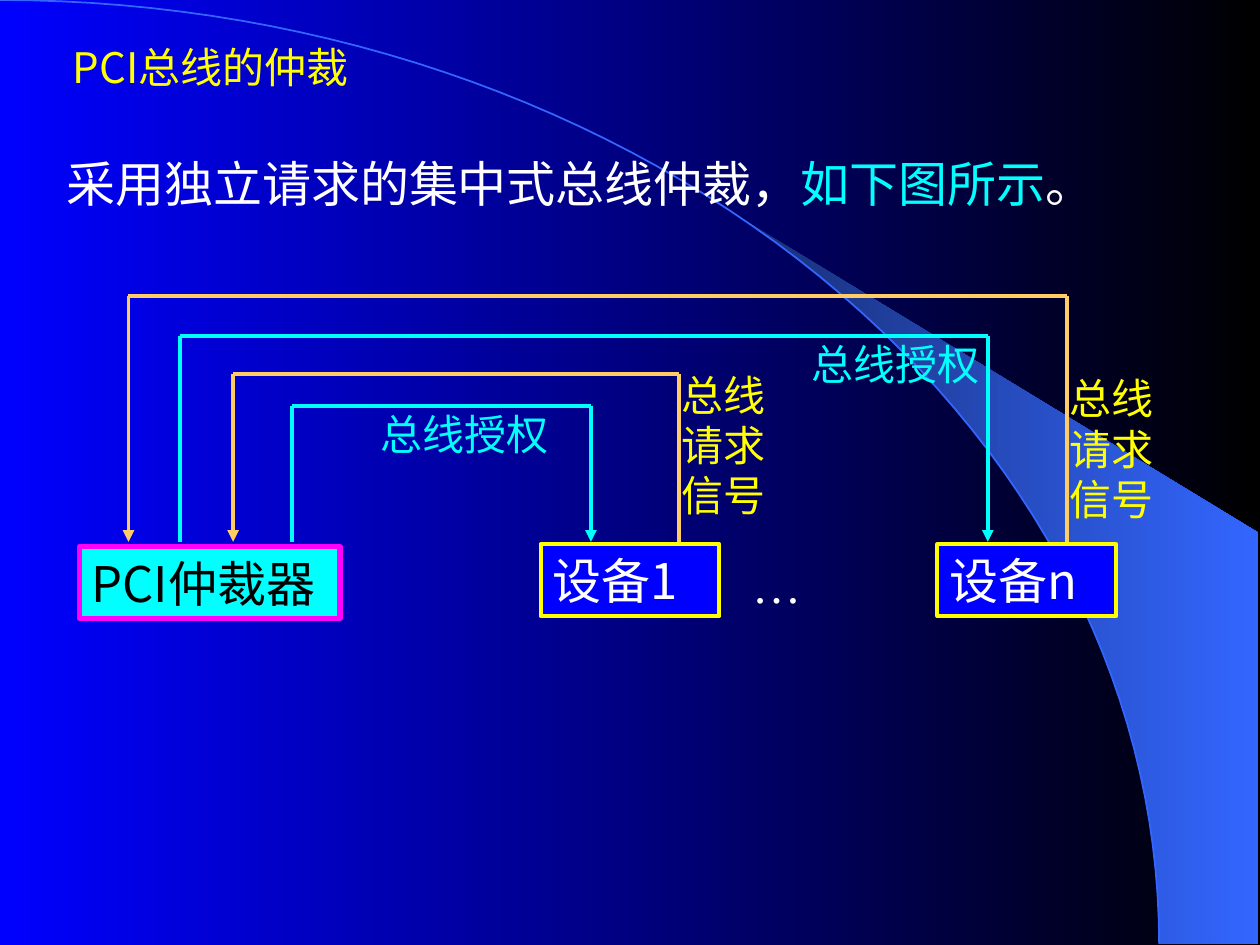
import math

import lxml.etree
import pptx
import pptx.dml.color
import pptx.enum.shapes
import pptx.enum.text
import pptx.oxml.ns
import pptx.util
from pptx.util import Inches

SANS = "Noto Sans CJK SC"
YELLOW, CYAN, WHITE, ORANGE = "FFFF00", "00FFFF", "FFFFFF", "FFCC66"
ARC_WIDTH, ARC_HEIGHT = 9.2, 7.49
BOX_TOP = 4.3


def rgb(value):
    """Turn a hex string into a colour."""
    return pptx.dml.color.RGBColor.from_string(value)


def set_gradient(fill, first, last):
    """Apply a left-to-right gradient of two colours."""
    fill.gradient()
    fill.gradient_angle = 0
    for stop, colour, position in zip(fill.gradient_stops, (first, last), (0, 1)):
        stop.color.rgb = rgb(colour)
        stop.position = position


def set_line(line, colour, width):
    """Give a line its colour and its width in points."""
    line.color.rgb = rgb(colour)
    line.width = pptx.util.Pt(width)


def arc_points(start_x, steps=60):
    """Return points on the quarter ellipse from start_x to its right end."""
    start = math.asin(start_x / ARC_WIDTH)
    angles = [start + (math.pi / 2 - start) * i / steps for i in range(steps + 1)]
    return [(ARC_WIDTH * math.sin(a), ARC_HEIGHT * (1 - math.cos(a))) for a in angles]


def add_outline(slide, points, close):
    """Add a freeform through the given points."""
    corners = [(Inches(x), Inches(y)) for x, y in points]
    builder = slide.shapes.build_freeform(*corners[0])
    builder.add_line_segments(corners[1:], close=close)
    outline = builder.convert_to_shape()
    outline.shadow.inherit = False
    return outline


def add_backdrop(slide):
    """Draw the gradient background, the light band and the large arc."""
    set_gradient(slide.background.fill, "0000FF", "000000")
    band = add_outline(slide, arc_points(5.89) + [(9.99, 7.49), (9.99, 4.23)], True)
    set_gradient(band.fill, "182F76", "3366FF")
    band.line.fill.background()
    arc = add_outline(slide, arc_points(0), False)
    arc.fill.background()
    set_line(arc.line, "3366FF", 1)


def write_text(shape, parts, size, font_name=SANS, wrap=True, before=0.625):
    """Write one paragraph of (text, colour) parts; the first colour is its default."""
    frame = shape.text_frame
    frame.word_wrap = wrap
    frame.auto_size = pptx.enum.text.MSO_AUTO_SIZE.SHAPE_TO_FIT_TEXT
    paragraph = frame.paragraphs[0]
    paragraph.alignment = pptx.enum.text.PP_ALIGN.LEFT
    paragraph.space_before = pptx.util.Pt(size * before)
    paragraph.font.name = font_name
    paragraph.font.size = pptx.util.Pt(size)
    paragraph.font.color.rgb = rgb(parts[0][1])
    latin = paragraph._p.find(".//" + pptx.oxml.ns.qn("a:latin"))
    latin.addnext(latin.makeelement(pptx.oxml.ns.qn("a:ea"), {"typeface": font_name}))
    for text, colour in parts:
        run = paragraph.add_run()
        run.text = text
        run.font.color.rgb = rgb(colour)


def add_label(slide, place, parts, size=24, font_name=SANS):
    """Add a text box at (left, top, width, height)."""
    label = slide.shapes.add_textbox(*map(Inches, place))
    write_text(label, parts, size, font_name)


def add_unit(slide, place, name, fill, border, border_width, colour, **text_options):
    """Add a bordered box for a bus unit."""
    unit = slide.shapes.add_shape(
        pptx.enum.shapes.MSO_SHAPE.RECTANGLE, *map(Inches, place))
    unit.shadow.inherit = False
    unit.fill.solid()
    unit.fill.fore_color.rgb = rgb(fill)
    set_line(unit.line, border, border_width)
    unit.text_frame.vertical_anchor = pptx.enum.text.MSO_ANCHOR.MIDDLE
    write_text(unit, [(name, colour)], 28, **text_options)


def add_wire(slide, start, end, colour, arrow=False):
    """Add a straight wire, with an arrowhead at its end if asked."""
    wire = slide.shapes.add_connector(
        pptx.enum.shapes.MSO_CONNECTOR.STRAIGHT, *map(Inches, start + end))
    set_line(wire.line, colour, 2.25)
    properties = wire._element.spPr
    if arrow:
        lxml.etree.SubElement(
            properties.find(pptx.oxml.ns.qn("a:ln")),
            pptx.oxml.ns.qn("a:tailEnd"), type="triangle")
    lxml.etree.SubElement(properties, pptx.oxml.ns.qn("a:effectLst"))


def add_signal(slide, source_x, target_x, level, colour):
    """Route a signal up from its source, across, and down to its target."""
    route = [(source_x, BOX_TOP), (source_x, level),
             (target_x, level), (target_x, BOX_TOP)]
    for index, (start, end) in enumerate(zip(route, route[1:])):
        add_wire(slide, start, end, colour, arrow=index == 2)


def main():
    """Build the slide and save it."""
    deck = pptx.Presentation()
    deck.slide_width, deck.slide_height = Inches(10), Inches(7.5)
    slide = deck.slides.add_slide(deck.slide_layouts[6])
    add_backdrop(slide)

    add_label(slide, (0.48, 0.28, 5.21, 0.5), [("PCI总线的仲裁", YELLOW)])
    add_label(slide, (0.43, 1.17, 9.06, 0.57),
              [("采用独立请求的集中式总线仲裁，", WHITE),
               ("如下图所示", CYAN), ("。", WHITE)], 28)

    for source_x, target_x, level, colour in (
            (8.47, 1.02, 2.35, ORANGE), (1.43, 7.84, 2.67, CYAN),
            (5.39, 1.85, 2.97, ORANGE), (2.32, 4.69, 3.22, CYAN)):
        add_signal(slide, source_x, target_x, level, colour)

    for place in ((5.31, 2.88, 1.02, 1.3), (8.39, 2.91, 0.94, 1.3)):
        add_label(slide, place, [("总线请求信号", YELLOW)])
    for place in ((6.34, 2.64, 1.73, 0.5), (2.92, 3.19, 2, 0.5)):
        add_label(slide, place, [("总线授权", CYAN)])

    for left, name in ((4.29, "设备1"), (7.44, "设备n")):
        add_unit(slide, (left, 4.32, 1.42, 0.57), name, "0000FF", YELLOW, 2.25, WHITE)
    add_label(slide, (5.87, 4.35, 1.42, 0.57), [("…", WHITE)], 28, "Times New Roman")
    add_unit(slide, (0.63, 4.34, 2.07, 0.57), "PCI仲裁器", CYAN, "FF00FF", 3,
             "000000", wrap=False, before=0)
    deck.save("out.pptx")


if __name__ == "__main__":
    main()
